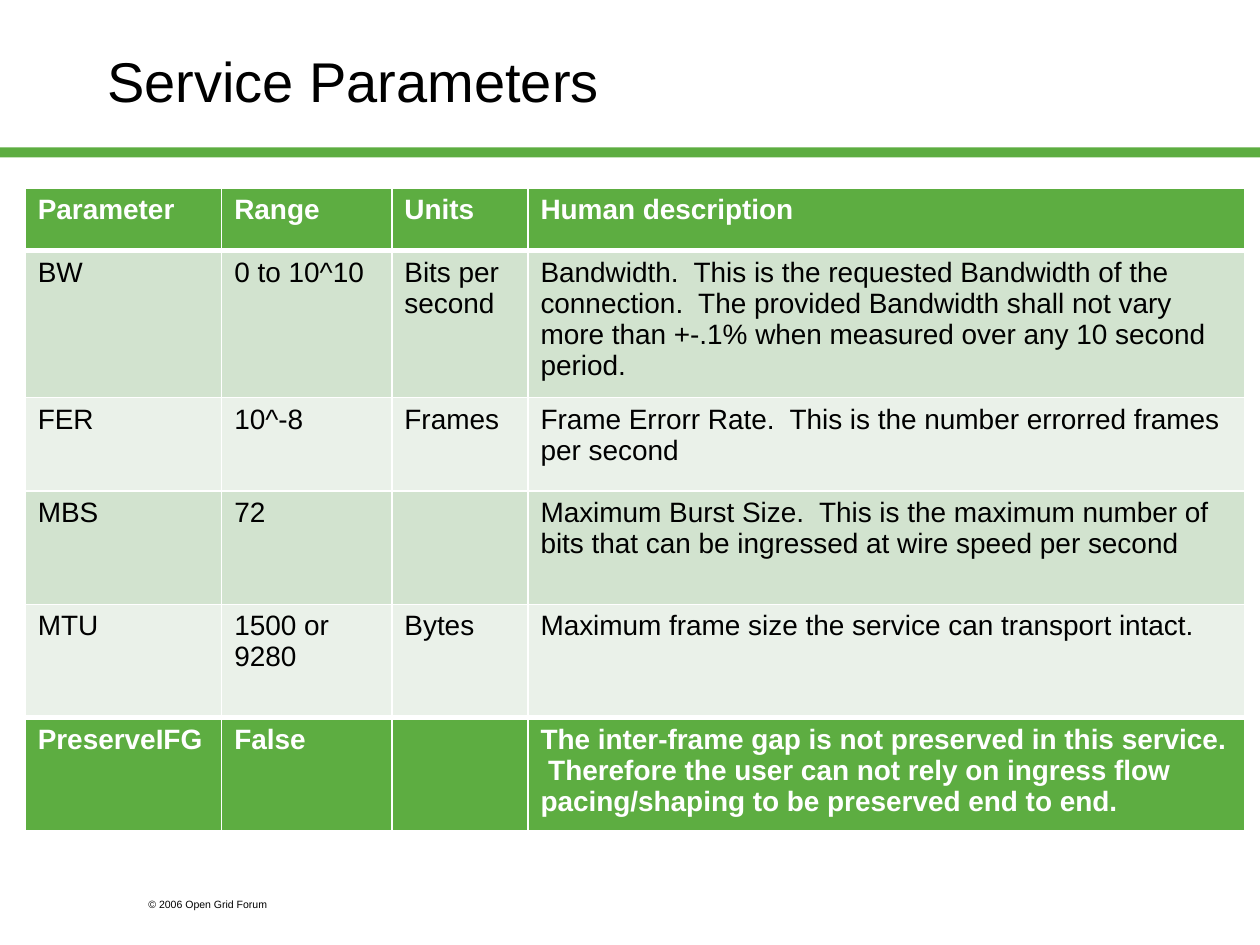
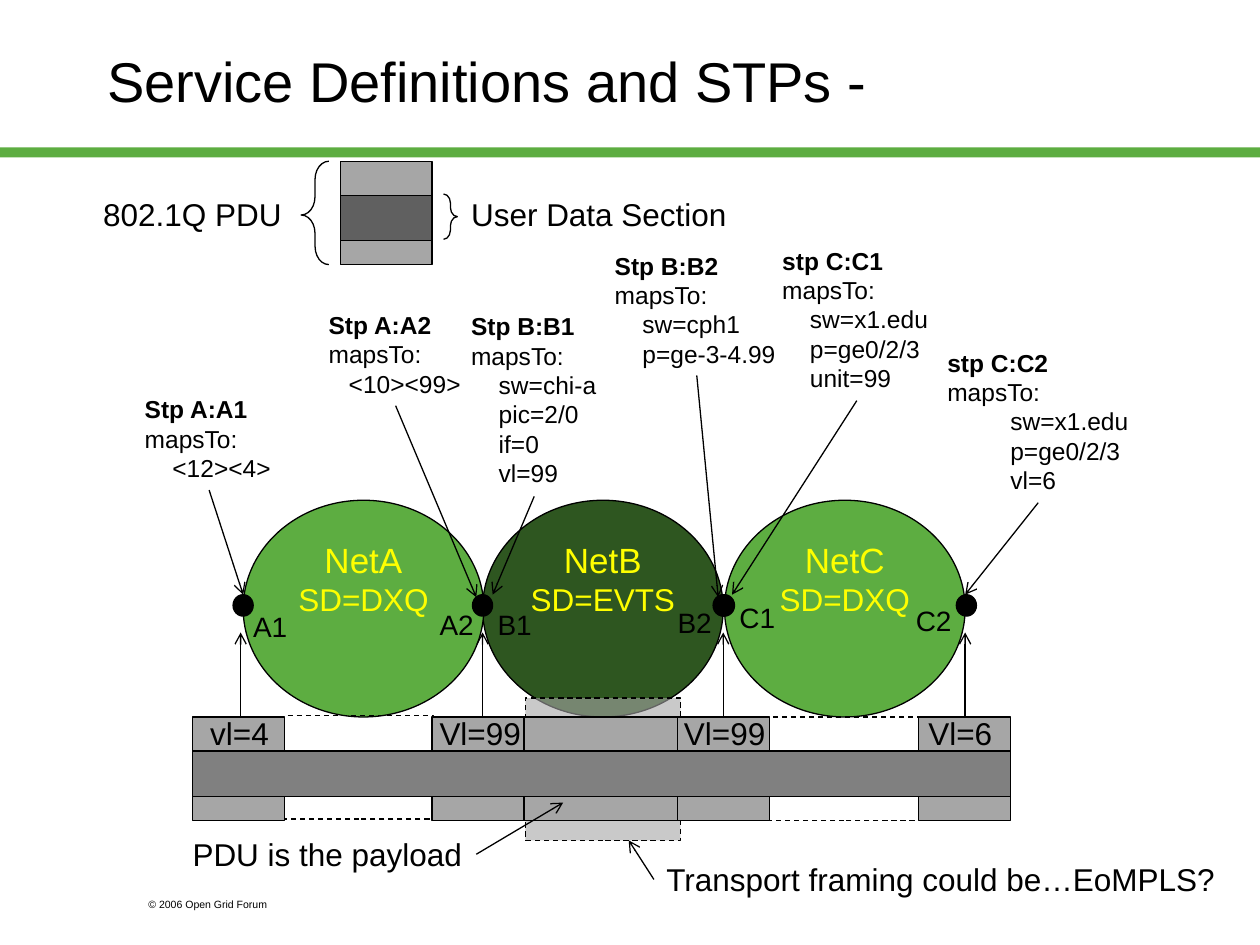
from dataclasses import dataclass

from lxml.etree import SubElement
from pptx import Presentation
from pptx.dml.color import RGBColor
from pptx.enum.dml import MSO_LINE
from pptx.enum.shapes import MSO_CONNECTOR, MSO_SHAPE as Preset
from pptx.enum.text import MSO_ANCHOR, MSO_AUTO_SIZE as AutoSize, PP_ALIGN
from pptx.oxml.ns import qn
from pptx.util import Pt

PX = 9144  # 100 px to the inch


@dataclass(frozen=True)
class Theme:
    font: str = "Arial"
    green: RGBColor = RGBColor(0x5D, 0xAD, 0x41)
    dark_green: RGBColor = RGBColor(0x2E, 0x56, 0x20)
    pale_green: RGBColor = RGBColor(0xD2, 0xE3, 0xCF)
    mist: RGBColor = RGBColor(0xEA, 0xF1, 0xE9)
    black: RGBColor = RGBColor(0, 0, 0)
    white: RGBColor = RGBColor(0xFF, 0xFF, 0xFF)
    yellow: RGBColor = RGBColor(0xFF, 0xFF, 0)
    light_grey: RGBColor = RGBColor(0xA6, 0xA6, 0xA6)
    mid_grey: RGBColor = RGBColor(0x80, 0x80, 0x80)
    dark_grey: RGBColor = RGBColor(0x60, 0x60, 0x60)
    title: Pt = Pt(32)
    net: Pt = Pt(20)
    label: Pt = Pt(18)
    cell: Pt = Pt(16)
    note: Pt = Pt(14)
    footer: Pt = Pt(6)
    hairline: Pt = Pt(0.75)


theme = Theme()


def draw(slide, preset, box, fill=None, outlined=True, dashed=False):
    shape = slide.shapes.add_shape(preset, *[v * PX for v in box])
    shape.shadow.inherit = False
    if fill is None:
        shape.fill.background()
    else:
        shape.fill.solid()
        shape.fill.fore_color.rgb = fill
    if outlined:
        shape.line.color.rgb = theme.black
        shape.line.width = theme.hairline
        if dashed:
            shape.line.dash_style = MSO_LINE.DASH
    else:
        shape.line.fill.background()
    return shape


def write(frame, lines, size, color=theme.black, bold=False):
    """Fill a text frame with one paragraph a line and return the paragraphs."""
    frame.text = "\n".join(lines)
    for paragraph in frame.paragraphs:
        paragraph.font.name = theme.font
        paragraph.font.size = size
        paragraph.font.color.rgb = color
        paragraph.font.bold = bold
    return frame.paragraphs


prs = Presentation()
prs.slide_width, prs.slide_height = 1000 * PX, 750 * PX

# Title, band and footer of both slides
slides = []
for heading in ("Service Parameters", "Service Definitions and STPs -"):
    slide = prs.slides.add_slide(prs.slide_layouts[5])
    draw(slide, Preset.RECTANGLE, (0, 117, 1000, 8), theme.green, outlined=False)

    title = slide.shapes.title
    title.left, title.top, title.width, title.height = [v * PX for v in (75, 17, 850, 93)]
    title.text_frame.auto_size = AutoSize.NONE
    title.text_frame.vertical_anchor = MSO_ANCHOR.MIDDLE
    write(title.text_frame, [heading], theme.title)[0].alignment = PP_ALIGN.LEFT

    footer = slide.shapes.add_textbox(*[v * PX for v in (108, 708, 150, 20)]).text_frame
    footer.word_wrap = True
    write(footer, ["© 2006 Open Grid Forum"], theme.footer)
    slides.append(slide)
parameters_slide, stp_slide = slides

# Slide 1: service parameters
parameters = [
    ("Parameter", "Range", "Units", "Human description"),
    ("BW", "0 to 10^10", "Bits per second",
     "Bandwidth.  This is the requested Bandwidth of the connection.  The provided "
     "Bandwidth shall not vary more than +-.1% when measured over any 10 second period."),
    ("FER", "10^-8", "Frames",
     "Frame Errorr Rate.  This is the number errorred frames per second"),
    ("MBS", "72", "",
     "Maximum Burst Size.  This is the maximum number of bits that can be ingressed "
     "at wire speed per second"),
    ("MTU", "1500 or 9280", "Bytes",
     "Maximum frame size the service can transport intact."),
    ("PreserveIFG", "False", "",
     "The inter-frame gap is not preserved in this service.  Therefore the user can not "
     "rely on ingress flow pacing/shaping to be preserved end to end."),
]
column_widths = (156, 135, 108, 569)
row_heights = (50, 108, 74, 90, 90, 90)
table = parameters_slide.shapes.add_table(
    len(parameters), len(column_widths),
    *[v * PX for v in (20, 149, sum(column_widths), sum(row_heights))]).table
table.horz_banding = False
for column, width in zip(table.columns, column_widths):
    column.width = width * PX
last = len(parameters) - 1
for r, (values, height) in enumerate(zip(parameters, row_heights)):
    table.rows[r].height = height * PX
    strong = r in (0, last)
    fill = theme.green if strong else (theme.mist, theme.pale_green)[r % 2]
    thick_sides = {0: "B", 1: "T", last - 1: "B", last: "T"}.get(r)
    for c, value in enumerate(values):
        cell = table.cell(r, c)
        properties = cell._tc.get_or_add_tcPr()
        for side in "LRTB":
            weight = Pt(3 if side == thick_sides else 1)
            border = SubElement(properties, qn(f"a:ln{side}"), w=str(weight))
            SubElement(SubElement(border, qn("a:solidFill")), qn("a:srgbClr"),
                       val=str(theme.white))
        cell.fill.solid()
        cell.fill.fore_color.rgb = fill
        write(cell.text_frame, [value], theme.cell,
              theme.white if strong else theme.black, strong)

# Slide 2: the three networks
for left, net, service, color in ((383, "NetB", "SD=EVTS", theme.dark_green),
                                  (193, "NetA", "SD=DXQ", theme.green),
                                  (575, "NetC", "SD=DXQ", theme.green)):
    frame = draw(stp_slide, Preset.OVAL, (left, 397, 191, 172), color).text_frame
    frame.word_wrap = False
    frame.vertical_anchor = MSO_ANCHOR.TOP
    lines = write(frame, [net, service], theme.label, theme.yellow)
    lines[0].font.size = theme.net
    for line in lines:
        line.alignment = PP_ALIGN.CENTER

for left in (185, 375, 566, 567, 759):
    draw(stp_slide, Preset.OVAL, (left, 472, 16, 17), theme.black)

# Transport framing, payload and tagged PDUs
framing = draw(stp_slide, Preset.RECTANGLE, (417, 554, 123, 113), theme.light_grey, dashed=True)
framing_color = framing._element.spPr.find(qn("a:solidFill")).find(qn("a:srgbClr"))
SubElement(framing_color, qn("a:alpha"), val="60000")
for box in ((611, 569, 118, 82), (226, 568, 118, 82)):
    draw(stp_slide, Preset.RECTANGLE, box, dashed=True)
draw(stp_slide, Preset.RECTANGLE, (416, 569, 123, 82), theme.light_grey)
for left, top in ((270, 128), (729, 569), (538, 569), (343, 569), (153, 569)):
    draw(stp_slide, Preset.RECTANGLE, (left, top, 73, 82), theme.light_grey)
    draw(stp_slide, Preset.RECTANGLE, (left, top + 27, 73, 36), theme.dark_grey)
draw(stp_slide, Preset.RECTANGLE, (153, 596, 649, 36), theme.mid_grey)

for preset, box, point in ((Preset.LEFT_BRACE, (239, 128, 22, 82), 0.52),
                           (Preset.RIGHT_BRACE, (352, 154, 11, 36), 0.5)):
    brace = draw(stp_slide, preset, box)
    brace.adjustments[0] = 0.66
    brace.adjustments[1] = point

# Labels: box, lines, type size, indent of the lines from the third on
labels = [
    ((72, 150, 163, 40), ["802.1Q PDU"], theme.label, 0),
    ((364, 150, 225, 40), ["User Data Section"], theme.label, 0),
    ((157, 562, 69, 40), ["vl=4"], theme.label, 0),
    ((339, 562, 87, 40), ["Vl=99"], theme.label, 0),
    ((533, 562, 87, 40), ["Vl=99"], theme.label, 0),
    ((727, 562, 73, 40), ["Vl=6"], theme.label, 0),
    ((143, 658, 236, 40), ["PDU is the payload"], theme.label, 0),
    ((519, 678, 460, 40), ["Transport framing could be…EoMPLS?"], theme.label, 0),
    ((105, 308, 121, 81), ["Stp A:A1", "mapsTo:", "<12><4>"], theme.note, 22),
    ((251, 241, 126, 81), ["Stp A:A2", "mapsTo:", "<10><99>"], theme.note, 16),
    ((364, 242, 120, 151),
     ["Stp B:B1", "mapsTo:", "sw=chi-a", "pic=2/0", "if=0", "vl=99"], theme.note, 22),
    ((478, 194, 148, 104),
     ["Stp B:B2", "mapsTo:", "sw=cph1", "p=ge-3-4.99"], theme.note, 22),
    ((611, 190, 138, 128),
     ["stp C:C1", "mapsTo:", "sw=x1.edu", "p=ge0/2/3", "unit=99"], theme.note, 22),
    ((742, 271, 165, 128),
     ["stp C:C2", "mapsTo:", "sw=x1.edu", "p=ge0/2/3", "vl=6"], theme.note, 50),
]
for port, left, top in (("A1", 191, 479), ("A2", 339, 477), ("B1", 385, 477),
                        ("B2", 528, 476), ("C1", 577, 472), ("C2", 717, 474)):
    labels.append(((left, top, 48, 37), [port], theme.cell, 0))
for box, lines, size, indent in labels:
    frame = stp_slide.shapes.add_textbox(*[v * PX for v in box]).text_frame
    frame.word_wrap = False
    frame.auto_size = AutoSize.SHAPE_TO_FIT_TEXT
    paragraphs = write(frame, lines, size)
    paragraphs[0].font.bold = len(lines) > 1
    for mapping in paragraphs[2:]:
        mapping._p.get_or_add_pPr().set("marL", str(indent * PX))

# Arrows: from x, y to x, y
arrows = [(x, 569, x, 502) for x in (191, 383, 574, 766)]
arrows += [
    (166, 389, 193, 472), (314, 322, 378, 474), (424, 394, 391, 472),
    (553, 298, 570, 474), (680, 318, 581, 472), (824, 399, 766, 472),
    (378, 678, 447, 637), (519, 698, 499, 667),
]
for ends in arrows:
    arrow = stp_slide.shapes.add_connector(MSO_CONNECTOR.STRAIGHT, *[v * PX for v in ends])
    arrow.line.color.rgb = theme.black
    arrow.line.width = theme.hairline
    outline = arrow._element.spPr
    SubElement(outline.find(qn("a:ln")), qn("a:tailEnd"), type="arrow")
    SubElement(outline, qn("a:effectLst"))

prs.save("out.pptx")
